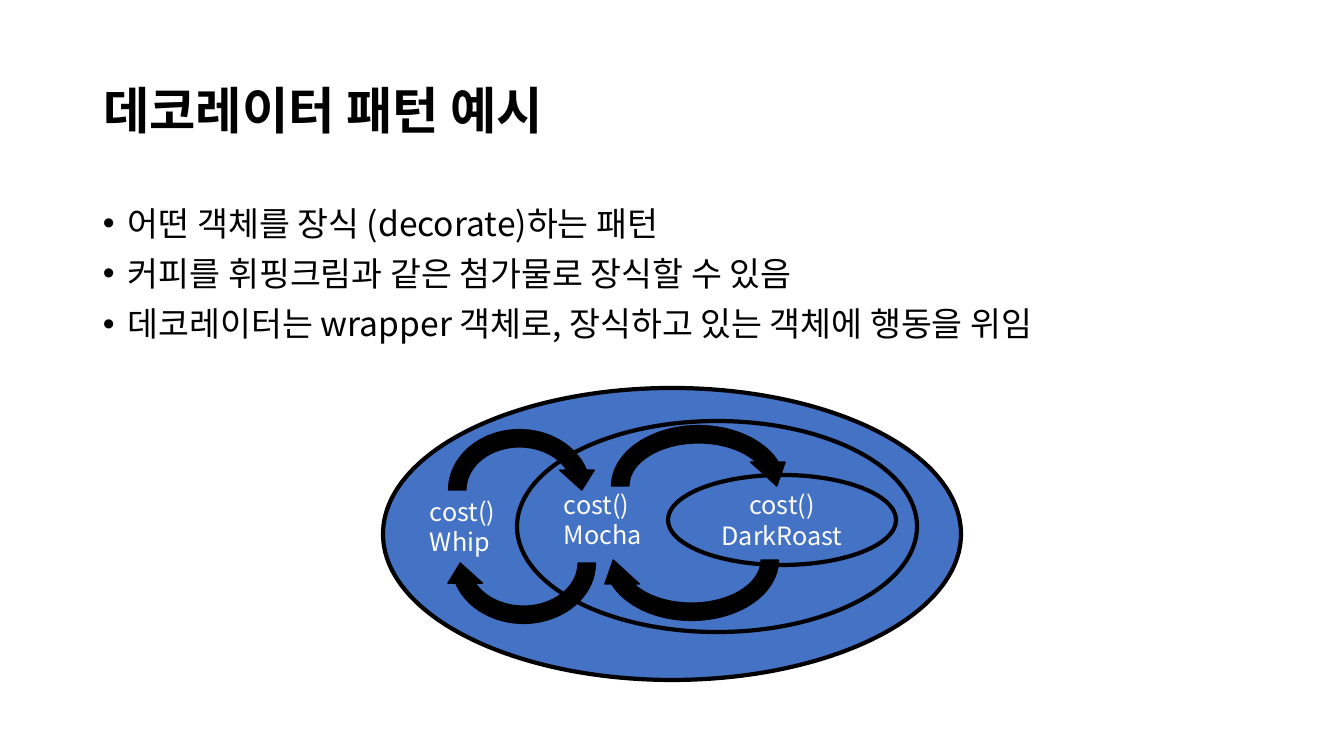
from dataclasses import dataclass

from lxml import etree
from pptx import Presentation
from pptx.dml.color import RGBColor
from pptx.enum.shapes import MSO_SHAPE
from pptx.enum.text import MSO_ANCHOR, PP_ALIGN
from pptx.oxml.ns import qn
from pptx.util import Pt

OVAL, LOOP = MSO_SHAPE.OVAL, MSO_SHAPE.CIRCULAR_ARROW
LEFT, CENTER = PP_ALIGN.LEFT, PP_ALIGN.CENTER
TOP, MIDDLE = MSO_ANCHOR.TOP, MSO_ANCHOR.MIDDLE
SCALE = 914400 / 100.8


@dataclass
class Theme:
    font: str = "Noto Sans CJK KR"
    black: RGBColor = RGBColor(0, 0, 0)
    white: RGBColor = RGBColor(255, 255, 255)
    blue: RGBColor = RGBColor(0x44, 0x72, 0xC4)
    title: int = 36
    body: int = 24
    label: int = 18


theme = Theme()


def emu(*pixels):
    return [round(pixel * SCALE) for pixel in pixels]


def write(shape, text, size, color, align=LEFT, anchor=TOP, bold=False):
    frame = shape.text_frame
    frame.text = text
    frame.word_wrap = True
    frame.vertical_anchor = anchor
    for para in frame.paragraphs:
        para.alignment = align
        for span in para.runs:
            span.font.name = theme.font
            span.font.size = Pt(size)
            span.font.bold = bold
            span.font.color.rgb = color
            properties = span.font._element
            etree.SubElement(properties, qn("a:ea"), typeface=theme.font)


deck = Presentation()
deck.slide_width, deck.slide_height = emu(1344, 756)
page = deck.slides.add_slide(deck.slide_layouts[5])

title = page.shapes.title
title.left, title.top, title.width, title.height = emu(93, 40, 1159, 146)
write(title, "데코레이터 패턴 예시", theme.title, theme.black, anchor=MIDDLE, bold=True)
title.text_frame.paragraphs[0].line_spacing = 0.9

points = [
    "어떤 객체를 장식 (decorate)하는 패턴",
    "커피를 휘핑크림과 같은 첨가물로 장식할 수 있음",
    "데코레이터는 wrapper 객체로, 장식하고 있는 객체에 행동을 위임",
]
body = page.shapes.add_textbox(*emu(93, 202, 1159, 480))
write(body, "\n".join(points), theme.body, theme.black)
indent = emu(25)[0]
for para in body.text_frame.paragraphs:
    para.line_spacing = 0.9
    para.space_before = Pt(10)
    properties = para._p.get_or_add_pPr()
    properties.set("marL", str(indent))
    properties.set("indent", str(-indent))
    etree.SubElement(properties, qn("a:buFont"), typeface="Arial")
    etree.SubElement(properties, qn("a:buChar"), char="•")

wrappers = page.shapes.add_group_shape()
ovals = [(383, 388, 578, 292), (517, 421, 400, 211), (668, 475, 228, 90)]
for bounds in ovals:
    oval = wrappers.shapes.add_shape(OVAL, *emu(*bounds))
    oval.shadow.inherit = False
    oval.fill.solid()
    oval.fill.fore_color.rgb = theme.blue
    oval.line.color.rgb = theme.black
    oval.line.width = Pt(3)
write(oval, "cost()\nDarkRoast", theme.label, theme.white, CENTER, MIDDLE)

for name, left, top in [("Mocha", 554, 484), ("Whip", 420, 491)]:
    label = wrappers.shapes.add_textbox(*emu(left, top, 114, 72))
    write(label, f"cost()\n{name}", theme.label, theme.white)

calls = [
    (440, 421, 159, 0),
    (603, 417, 191, 0),
    (596, 491, 191, 180),
    (443, 494, 161, 180),
]
for left, top, width, rotation in calls:
    arrow = page.shapes.add_shape(LOOP, *emu(left, top, width, 138))
    arrow.rotation = rotation
    arrow.shadow.inherit = False
    arrow.fill.solid()
    arrow.fill.fore_color.rgb = theme.black
    arrow.line.color.rgb = theme.black
    arrow.line.width = Pt(1)

deck.save("out.pptx")
